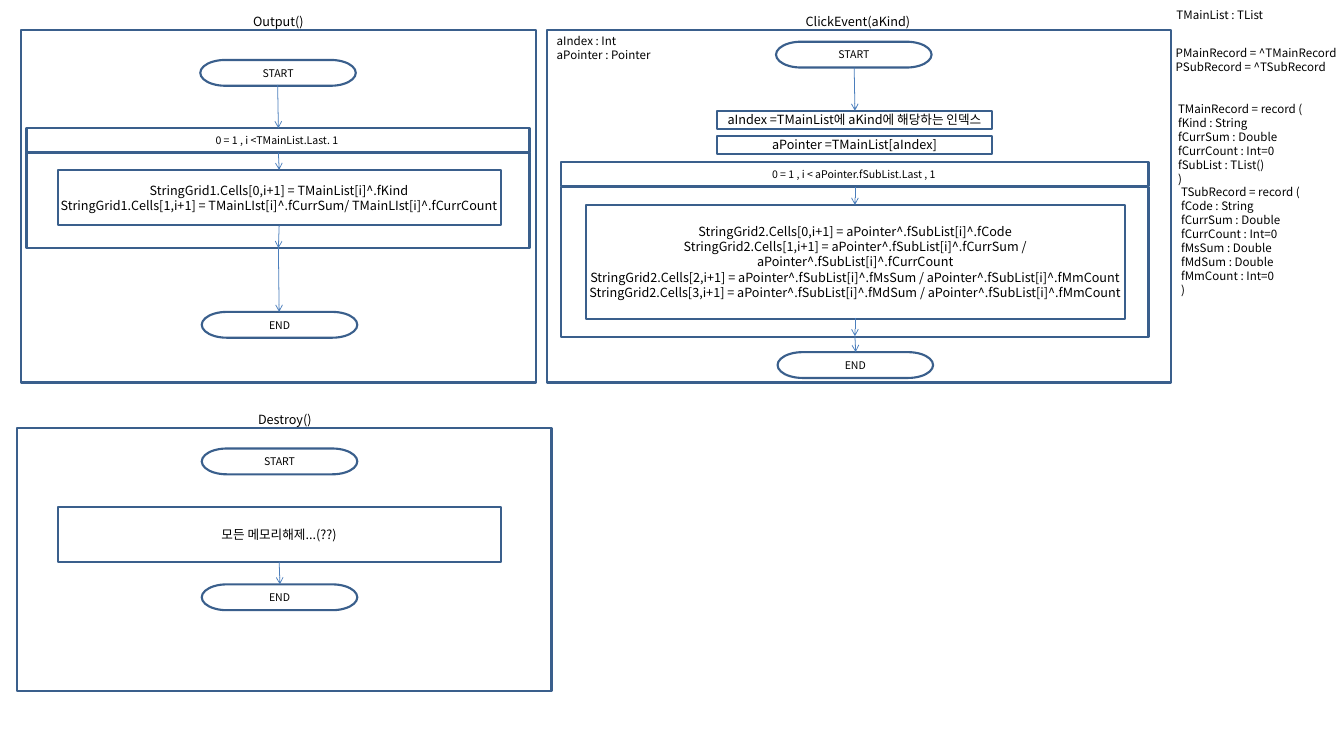
import pptx
import pptx.dml.color
import pptx.enum.shapes
import pptx.enum.text
import pptx.oxml
import pptx.oxml.ns
import pptx.util

Inches = pptx.util.Inches
SHAPE = pptx.enum.shapes.MSO_SHAPE
ALIGN = pptx.enum.text.PP_ALIGN
ANCHOR = pptx.enum.text.MSO_ANCHOR
rgb = pptx.dml.color.RGBColor.from_string
NS = pptx.oxml.ns.nsdecls("a")
FONT = "Noto Sans CJK KR"


def write(sp, text, size, align, anchor, inset_x, inset_y):
    """Fill a shape with text, one paragraph per line."""
    tf = sp.text_frame
    tf.word_wrap = True
    tf.vertical_anchor = anchor
    tf.margin_left = tf.margin_right = Inches(inset_x)
    tf.margin_top = tf.margin_bottom = Inches(inset_y)
    tf.text = text
    for p in tf.paragraphs:
        p.alignment = align
        p.font.size = pptx.util.Pt(size)
        p.font.name = FONT
        p.font.color.rgb = rgb("000000")
        for r in p.runs:
            ea = pptx.oxml.parse_xml(f'<a:ea {NS} typeface="{FONT}"/>')
            r._r.get_or_add_rPr().append(ea)


def box(kind, x, y, w, h, text="", size=12):
    """Add an unfilled, outlined flowchart shape with centred text."""
    sp = s.shapes.add_shape(kind, Inches(x), Inches(y), Inches(w), Inches(h))
    sp.shadow.inherit = False
    sp.fill.background()
    sp.line.color.rgb = rgb("3A5F8C")
    sp.line.width = pptx.util.Pt(2)
    if text:
        write(sp, text, size, ALIGN.CENTER, ANCHOR.MIDDLE, 0, 0)


prs = pptx.Presentation()
prs.slide_width = Inches(45 / 2.54)
prs.slide_height = Inches(25 / 2.54)
s = prs.slides.add_slide(prs.slide_layouts[6])

# Procedure frames with their titles
for title, x, y, w, h, title_x, title_w in [
    ("Output()", 0.28, 0.4, 6.79, 4.64, 0.91, 5.52),
    ("ClickEvent(aKind)", 7.21, 0.4, 8.23, 4.64, 7.97, 6.68),
    ("Destroy()", 0.22, 5.64, 7.05, 3.46, 0.89, 5.73),
]:
    box(SHAPE.RECTANGLE, x, y, w, h)
    sp = s.shapes.add_textbox(
        Inches(title_x), Inches(y - 0.2), Inches(title_w), Inches(0.17))
    write(sp, title, 12, ALIGN.CENTER, ANCHOR.MIDDLE, 0, 0)

# Start and end terminators
for label, x, y in [
    ("START", 2.64, 0.79), ("END", 2.66, 4.11),
    ("START", 10.23, 0.55), ("END", 10.25, 4.64),
    ("START", 2.66, 5.91), ("END", 2.66, 7.7),
]:
    box(SHAPE.FLOWCHART_TERMINATOR, x, y, 2.05, 0.34, label, 10)

# Loops: a condition bar on top of a body
for condition, x, y, w, body_h in [
    ("0 = 1 , i <TMainList.Last. 1 ", 0.35, 1.69, 6.63, 1.26),
    ("0 = 1 , i < aPointer.fSubList.Last , 1 ", 7.4, 2.14, 7.74, 1.98),
]:
    box(SHAPE.RECTANGLE, x, y, w, 0.31, condition, 10)
    box(SHAPE.RECTANGLE, x, y + 0.32, w, body_h)

# Process steps
for text, x, y, w, h in [
    ("StringGrid1.Cells[0,i+1] = TMainList[i]^.fKind\n"
     "StringGrid1.Cells[1,i+1] = TMainLIst[i]^.fCurrSum/ TMainLIst[i]^.fCurrCount",
     0.76, 2.24, 5.84, 0.73),
    ("aIndex =TMainList에 aKind에 해당하는 인덱스", 9.45, 1.46, 3.63, 0.24),
    ("aPointer =TMainList[aIndex]", 9.45, 1.79, 3.63, 0.24),
    ("StringGrid2.Cells[0,i+1] = aPointer^.fSubList[i]^.fCode\n"
     "StringGrid2.Cells[1,i+1] = aPointer^.fSubList[i]^.fCurrSum / aPointer^.fSubList[i]^.fCurrCount\n"
     "StringGrid2.Cells[2,i+1] = aPointer^.fSubList[i]^.fMsSum / aPointer^.fSubList[i]^.fMmCount\n"
     "StringGrid2.Cells[3,i+1] = aPointer^.fSubList[i]^.fMdSum / aPointer^.fSubList[i]^.fMmCount",
     7.72, 2.7, 7.11, 1.5),
    ("모든 메모리해제...(??)", 0.76, 6.68, 5.84, 0.73),
]:
    box(SHAPE.RECTANGLE, x, y, w, h, text)

# Flow arrows
for x1, y1, x2, y2 in [
    (3.66, 1.12, 3.67, 1.69), (3.67, 2.01, 3.68, 2.24),
    (3.68, 2.97, 3.67, 3.27), (3.67, 3.27, 3.68, 4.11),
    (11.26, 0.89, 11.27, 1.46), (11.27, 2.46, 11.27, 2.7),
    (11.27, 4.19, 11.27, 4.43), (11.27, 4.43, 11.28, 4.64),
    (3.68, 7.4, 3.69, 7.7),
]:
    c = s.shapes.add_connector(
        pptx.enum.shapes.MSO_CONNECTOR.STRAIGHT,
        Inches(x1), Inches(y1), Inches(x2), Inches(y2))
    c.line.color.rgb = rgb("4B7EBC")
    c.line.width = pptx.util.Pt(0.75)
    ln = c.line._get_or_add_ln()
    ln.append(pptx.oxml.parse_xml(f'<a:tailEnd {NS} type="arrow"/>'))
    c._element.spPr.append(pptx.oxml.parse_xml(f'<a:effectLst {NS}/>'))

# Variable and type declarations
for text, x, y, w, h, wrap in [
    ("aIndex : Int\naPointer : Pointer", 7.24, 0.4, 1.83, 0.47, True),
    ("TMainList : TList", 15.41, 0.06, 2.19, 0.29, True),
    ("PMainRecord = ^TMainRecord\nPSubRecord = ^TSubRecord",
     15.4, 0.56, 2.38, 0.47, False),
    ("TMainRecord = record (\nfKind : String\nfCurrSum : Double\n"
     "fCurrCount : Int=0\nfSubList : TList()\n)", 15.43, 1.3, 1.91, 1.21, True),
    ("TSubRecord = record (\nfCode : String\nfCurrSum : Double\nfCurrCount : Int=0\n"
     "fMsSum : Double\nfMdSum : Double\nfMmCount : Int=0\n)",
     15.47, 2.39, 1.91, 1.58, True),
]:
    sp = s.shapes.add_textbox(Inches(x), Inches(y), Inches(w), Inches(h))
    write(sp, text, 11, ALIGN.LEFT, ANCHOR.TOP, 0.1, 0.05)
    sp.text_frame.word_wrap = wrap

prs.save("out.pptx")
